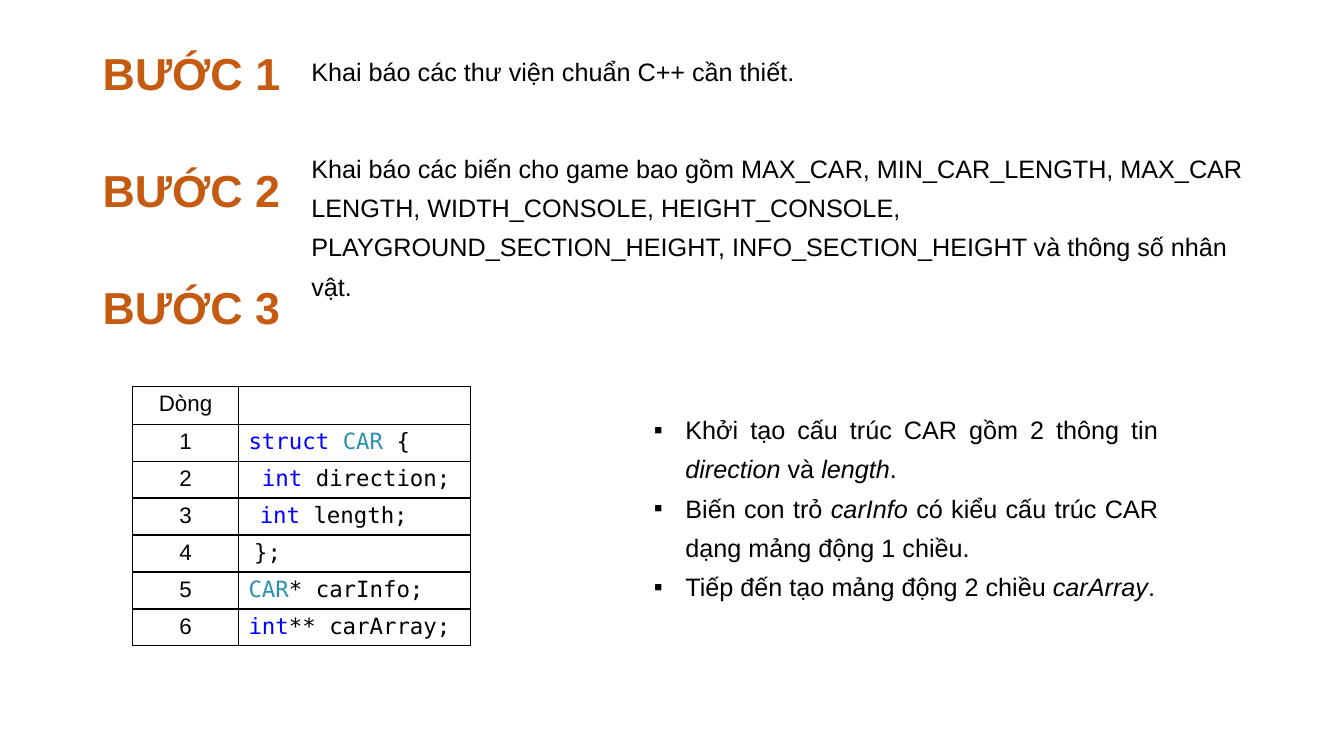
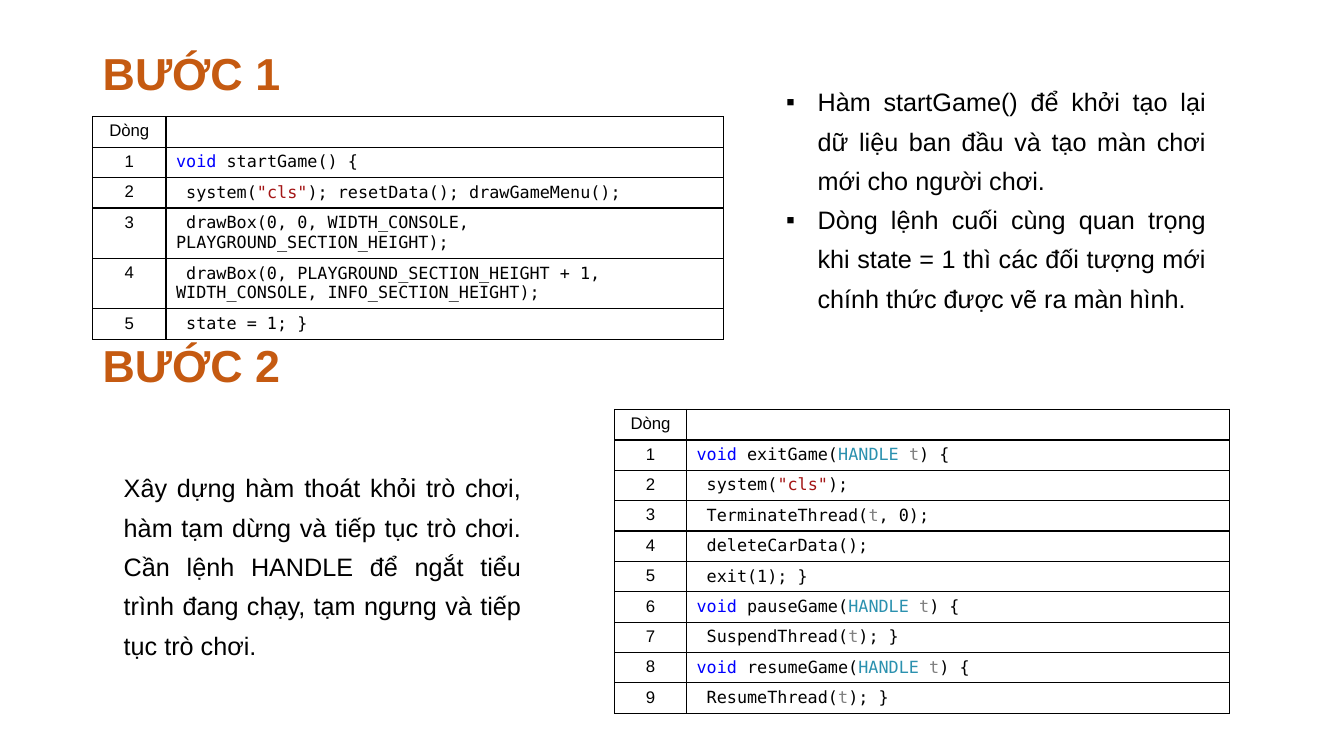
"""Builds two slides that explain the steps of a console car game."""
from lxml import etree
from pptx import Presentation
from pptx.dml.color import RGBColor
from pptx.enum import text
from pptx.oxml import ns
from pptx.util import Pt

HEX = {"ink": "000000", "head": "C55A11", "key": "0000FF",
       "type": "2B91AF", "quote": "A31515", "param": "808080"}
SANS, MONO, SERIF = "Arial", "DejaVu Sans Mono", "Times New Roman"
LOOKS = {"italic": {"italic": True}, "serif": {"name": SERIF}}
LEFT, CENTER, FULL = text.PP_ALIGN.LEFT, text.PP_ALIGN.CENTER, text.PP_ALIGN.JUSTIFY
HANDLE = [("HANDLE ", "type"), ("t", "param"), ") {"]

SLIDES = [
    {
        "heads": [("BƯỚC 1", 28.8), ("BƯỚC 2", 112.5), ("BƯỚC 3", 196.5)],
        "texts": [
            {"box": (215.3, 36.7, 543, 29), "space": 1,
             "paras": [["Khai báo các thư viện chuẩn C++ cần thiết."]]},
            {"box": (215.3, 99.4, 696, 88.6), "align": LEFT,
             "paras": [["Khai báo các biến cho game bao gồm MAX_CAR, MIN_CAR_LENGTH, "
                        "MAX_CAR LENGTH, WIDTH_CONSOLE, HEIGHT_CONSOLE, "
                        "PLAYGROUND_SECTION_HEIGHT, INFO_SECTION_HEIGHT "
                        "và thông số nhân vật."]]},
            {"box": (460, 286, 374.4, 173.5), "bullet": True,
             "paras": [
                 ["Khởi tạo cấu trúc CAR gồm 2 thông tin ", ("direction ", "italic"),
                  "và ", ("length", "italic"), "."],
                 ["Biến con trỏ ", ("carInfo", "italic"),
                  " có kiểu cấu trúc CAR dạng mảng động 1 chiều."],
                 ["Tiếp đến tạo mảng động 2 chiều ", ("carArray", "italic"), "."]]},
        ],
        "codes": [
            {"at": (94.8, 276.2), "cols": (75.6, 165.6), "row": 26.4, "size": 16,
             "lines": [
                 [("struct ", "key"), ("CAR", "type"), " {"],
                 [(" int", "key"), " direction;"],
                 [("  ", "serif"), ("int", "key"), " length;"],
                 [(" ", "serif"), "};"],
                 [("CAR", "type"), "* carInfo;"],
                 [("int", "key"), "** carArray;"]]},
        ],
    },
    {
        "heads": [("BƯỚC 1", 28.8), ("BƯỚC 2", 237.8)],
        "texts": [
            {"box": (554.4, 51.8, 314, 202.3), "bullet": True,
             "paras": [
                 ["Hàm startGame() để khởi tạo lại dữ liệu ban đầu và tạo màn chơi "
                  "mới cho người chơi."],
                 ["Dòng lệnh cuối cùng quan trọng khi state = 1 thì các đối tượng mới "
                  "chính thức được vẽ ra màn hình."]]},
            {"box": (81.3, 327.6, 298, 145.4),
             "paras": [["Xây dựng hàm thoát khỏi trò chơi, hàm tạm dừng và tiếp tục "
                        "trò chơi. Cần lệnh HANDLE để ngắt tiểu trình đang chạy, "
                        "tạm ngưng và tiếp tục trò chơi."]]},
        ],
        "codes": [
            {"at": (66.2, 83.3), "cols": (52.4, 398.2), "row": 21.7, "size": 12,
             "tall": {3: 36, 4: 36},
             "lines": [
                 [("void", "key"), " startGame() {"],
                 [" system(", ('"cls"', "quote"), "); resetData(); drawGameMenu();"],
                 [" drawBox(0, 0, WIDTH_CONSOLE, PLAYGROUND_SECTION_HEIGHT);"],
                 [" drawBox(0, PLAYGROUND_SECTION_HEIGHT + 1, WIDTH_CONSOLE, "
                  "INFO_SECTION_HEIGHT);"],
                 [" state = 1; }"]]},
            {"at": (439, 292.4), "cols": (51.4, 388), "row": 21.7, "size": 12,
             "lines": [
                 [("void", "key"), " exitGame(", *HANDLE],
                 [" system(", ('"cls"', "quote"), ");"],
                 [" TerminateThread(", ("t", "param"), ", 0);"],
                 [" deleteCarData();"],
                 [" exit(1); }"],
                 [("void", "key"), " pauseGame(", *HANDLE],
                 [" SuspendThread(", ("t", "param"), "); }"],
                 [("void", "key"), " resumeGame(", *HANDLE],
                 [" ResumeThread(", ("t", "param"), "); }"]]},
        ],
    },
]


def style(font, color="ink", **looks):
    """Give a font its colour and other looks."""
    font.color.rgb = RGBColor.from_string(HEX[color])
    for name, value in looks.items():
        setattr(font, name, value)


def write(para, parts, size, face=SANS, **looks):
    """Add runs, each plain or paired with a look."""
    for part in parts:
        words, look = (part, "ink") if isinstance(part, str) else part
        run = para.add_run()
        run.text = words
        form = {"name": face, "size": Pt(size), **looks, **LOOKS.get(look, {})}
        if look in HEX:
            form.setdefault("color", look)
        style(run.font, **form)


def place(shape, box):
    """Set a shape's place and size."""
    for name, value in zip(("left", "top", "width", "height"), box):
        setattr(shape, name, Pt(value))


def frame(shape):
    """Return a wrapping text frame anchored at the top."""
    body = shape.text_frame
    body.word_wrap = True
    body.auto_size = text.MSO_AUTO_SIZE.NONE
    body.vertical_anchor = text.MSO_ANCHOR.TOP
    for side, gap in (("left", 7.2), ("right", 7.2), ("top", 3.6), ("bottom", 3.6)):
        setattr(body, "margin_" + side, Pt(gap))
    return body


def add_head(slide, words, top, first):
    """Add a step heading; the first is the slide title."""
    box = (66.2, top, 152, 46)
    shape = slide.shapes.title if first else slide.shapes.add_textbox(*map(Pt, box))
    place(shape, box)
    para = frame(shape).paragraphs[0]
    para.alignment = LEFT
    write(para, [words], 32, bold=True, color="head")


def add_text(slide, box, paras, align=FULL, space=1.3, bullet=False):
    """Add body text, with square bullets if asked."""
    body = frame(slide.shapes.add_textbox(*map(Pt, box)))
    for i, parts in enumerate(paras):
        para = body.add_paragraph() if i else body.paragraphs[0]
        if bullet:
            props = para._p.get_or_add_pPr()
            props.set("marL", str(Pt(22.5)))
            props.set("indent", str(-Pt(22.5)))
            etree.SubElement(props, ns.qn("a:buFont"), typeface=SANS)
            etree.SubElement(props, ns.qn("a:buChar"), char="▪")
        para.alignment = align
        para.line_spacing = space
        write(para, parts, 18)


def edge(cell):
    """Draw thin lines round an unfilled cell."""
    props = cell._tc.get_or_add_tcPr()
    for side in "LRTB":
        line = etree.SubElement(props, ns.qn("a:ln" + side), w=str(Pt(0.96)))
        fill = etree.SubElement(line, ns.qn("a:solidFill"))
        etree.SubElement(fill, ns.qn("a:srgbClr"), val=HEX["ink"])
    cell.fill.background()


def add_code(slide, at, cols, row, size, lines, tall=None):
    """Add a table of numbered code lines."""
    rows = [(["Dòng"], [])] + [([str(n)], line) for n, line in enumerate(lines, 1)]
    highs = [(tall or {}).get(i, row) for i in range(len(rows))]
    box = (*at, sum(cols), sum(highs))
    table = slide.shapes.add_table(len(rows), len(cols), *map(Pt, box)).table
    table.first_row = table.horz_banding = False
    for col, wide in zip(table.columns, cols):
        col.width = Pt(wide)
    for i, (cells, high) in enumerate(zip(rows, highs)):
        table.rows[i].height = Pt(high)
        for j, parts in enumerate(cells):
            cell = table.cell(i, j)
            edge(cell)
            para = cell.text_frame.paragraphs[0]
            para.alignment = LEFT if j else CENTER
            write(para, parts, size, MONO if j else SANS)
            if not parts:
                etree.SubElement(para._p, ns.qn("a:endParaRPr"), sz=str(size * 100))


def main():
    """Build and save the slides."""
    deck = Presentation()
    deck.slide_width, deck.slide_height = Pt(960), Pt(540)
    for data in SLIDES:
        slide = deck.slides.add_slide(deck.slide_layouts[5])
        for i, (words, top) in enumerate(data["heads"]):
            add_head(slide, words, top, i == 0)
        for item in data["texts"]:
            add_text(slide, **item)
        for item in data["codes"]:
            add_code(slide, **item)
    deck.save("out.pptx")


if __name__ == "__main__":
    main()
